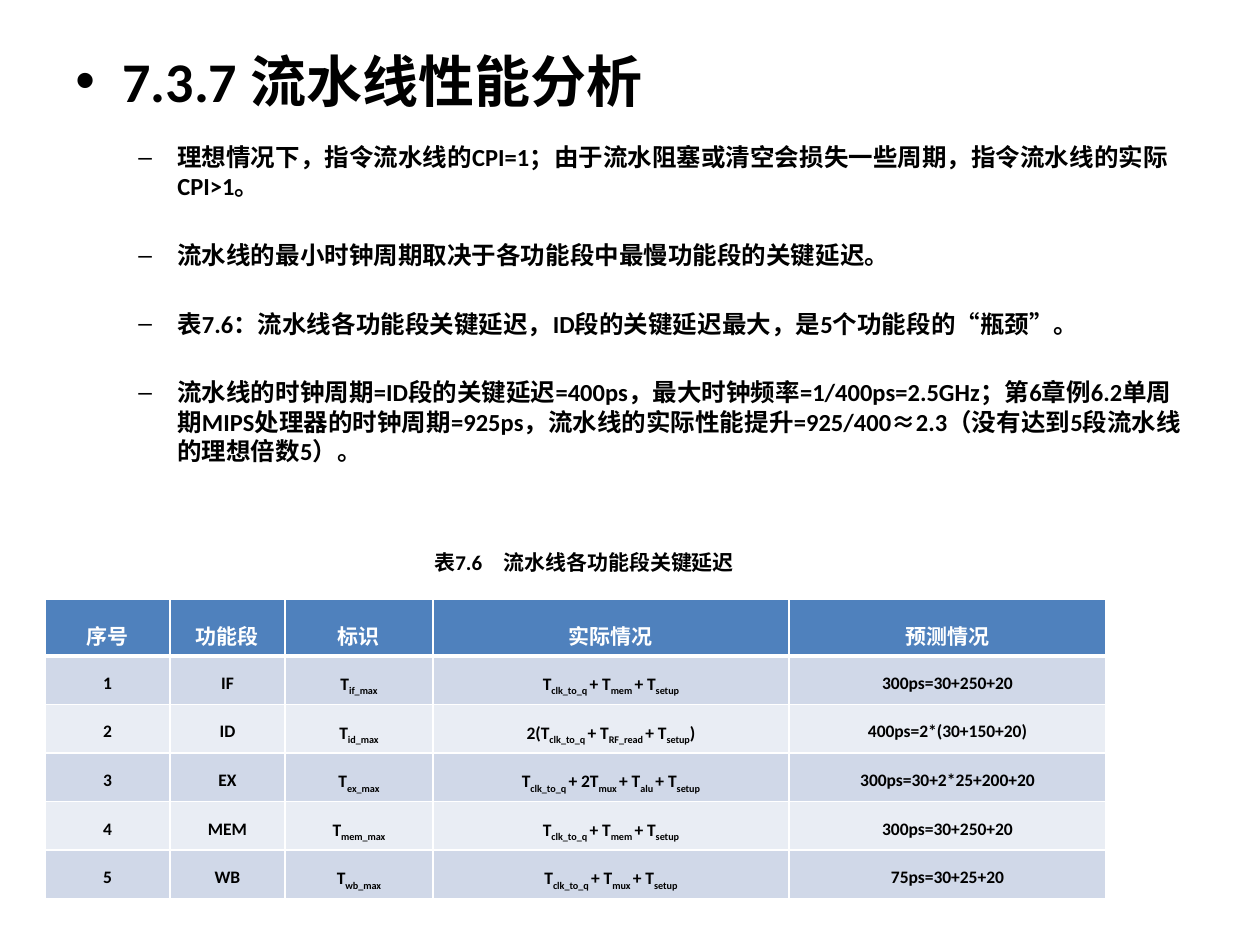
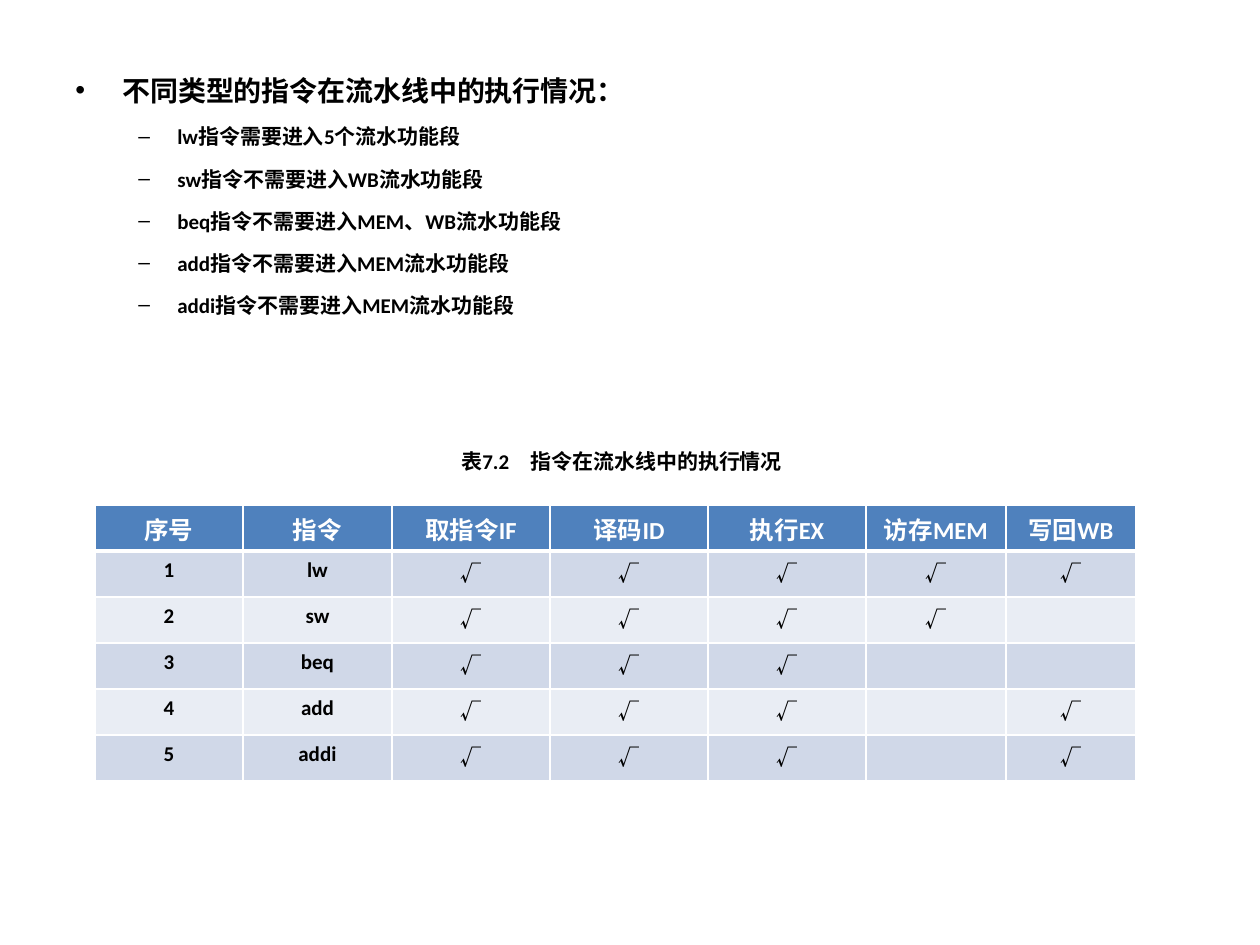
import itertools

import pptx
import pptx.dml.color
import pptx.enum.text
import pptx.oxml.ns
import pptx.util
from lxml import etree

# Shared style
PX = 914400 / 126
FONT, CJK_FONT = "Calibri", "Noto Sans CJK SC"
SYMBOLS = "≈√"
BLACK, WHITE, HEADER = "000000", "FFFFFF", "4F81BD"
BANDS = ["D0D8E8", "E9EDF4"]
BULLETS = {0: ("•", 47, -47), 1: ("–", 102, -39)}  # sign, margin, indent

# Content; in table cells, every second part between bars is a subscript
SLIDES = [
    dict(
        heading="7.3.7 流水线性能分析",
        points=[
            "理想情况下，指令流水线的CPI=1；由于流水阻塞或清空会损失一些周期，指令流水线的实际CPI>1。",
            "流水线的最小时钟周期取决于各功能段中最慢功能段的关键延迟。",
            "表7.6：流水线各功能段关键延迟，ID段的关键延迟最大，是5个功能段的“瓶颈”。",
            "流水线的时钟周期=ID段的关键延迟=400ps，最大时钟频率=1/400ps=2.5GHz；"
            "第6章例6.2单周期MIPS处理器的时钟周期=925ps，"
            "流水线的实际性能提升=925/400≈2.3（没有达到5段流水线的理想倍数5）。",
        ],
        body=(63, 36, 1134, 774),
        heading_format=dict(size=32, line=41.0),
        point_format=dict(size=14, line=16.8),
        gaps=(16, 22.4),
        caption="表7.6　流水线各功能段关键延迟",
        caption_box=(422, 543, 326, 38),
        header=["序号", "功能段", "标识", "实际情况", "预测情况"],
        rows=[
            ["IF", "T|if_max", "T|clk_to_q |+ T|mem |+ T|setup", "300ps=30+250+20"],
            ["ID", "T|id_max", "2(T|clk_to_q |+ T|RF_read |+ T|setup|)", "400ps=2*(30+150+20)"],
            ["EX", "T|ex_max", "T|clk_to_q |+ 2T|mux |+ T|alu |+ T|setup", "300ps=30+2*25+200+20"],
            ["MEM", "T|mem_max", "T|clk_to_q |+ T|mem |+ T|setup", "300ps=30+250+20"],
            ["WB", "T|wb_max", "T|clk_to_q |+ T|mux |+ T|setup", "75ps=30+25+20"],
        ],
        table_at=(45, 599),
        columns=[125, 115, 148, 356, 317],
        heights=(57, 48),
        cell_sizes=(12, 10),
        cell_line=1.5,
    ),
    dict(
        heading="不同类型的指令在流水线中的执行情况：",
        points=[
            "lw指令需要进入5个流水功能段",
            "sw指令不需要进入WB流水功能段",
            "beq指令不需要进入MEM、WB流水功能段",
            "add指令不需要进入MEM流水功能段",
            "addi指令不需要进入MEM流水功能段",
        ],
        body=(63, 66, 1134, 624),
        heading_format=dict(size=16, line=20.0),
        point_format=dict(size=12, line=21.6),
        gaps=(2.4, 2.4),
        caption="表7.2　指令在流水线中的执行情况",
        caption_box=(449, 442, 348, 38),
        header=["序号", "指令", "取指令IF", "译码ID", "执行EX", "访存MEM", "写回WB"],
        rows=[
            ["lw", "√", "√", "√", "√", "√"],
            ["sw", "√", "√", "√", "√", ""],
            ["beq", "√", "√", "√", "", ""],
            ["add", "√", "√", "√", "", "√"],
            ["addi", "√", "√", "√", "", "√"],
        ],
        table_at=(95, 505),
        columns=[148, 149, 158, 158, 158, 140, 130],
        heights=(46, 46),
        cell_sizes=(14, 12),
        cell_line=1.0,
    ),
]


def px(n):
    return round(n * PX)


def rgb(color):
    return pptx.dml.color.RGBColor.from_string(color)


def sub(parent, tag, **attrs):
    return etree.SubElement(parent, pptx.oxml.ns.qn(tag), **attrs)


def write(p, text, size=12, color=BLACK, line=1.0, before=0, align=None, level=None):
    """Fill a paragraph; a line above 2 is a height in points."""
    if level is not None:
        sign, margin, indent = BULLETS[level]
        pPr = p._p.get_or_add_pPr()
        pPr.set("marL", str(px(margin)))
        pPr.set("indent", str(px(indent)))
        sub(pPr, "a:buFont", typeface="Arial")
        sub(pPr, "a:buChar", char=sign)
        p.level = level
    p.line_spacing = pptx.util.Pt(line) if line > 2 else line
    p.space_before = pptx.util.Pt(before)
    p.alignment = align
    for i, part in enumerate(text.split("|")):
        for is_symbol, chars in itertools.groupby(part, lambda ch: ch in SYMBOLS):
            r = p.add_run()
            r.text = "".join(chars)
            r.font.size = pptx.util.Pt(size)
            r.font.bold = True
            r.font.color.rgb = rgb(color)
            r.font.name = CJK_FONT if is_symbol else FONT
            rPr = r._r.get_or_add_rPr()
            sub(rPr, "a:ea", typeface=CJK_FONT)
            if i % 2:
                rPr.set("baseline", "-25000")
    if not text:
        sub(p._p, "a:endParaRPr", sz=str(size * 100))


def add_box(slide, box):
    tf = slide.shapes.add_textbox(*map(px, box)).text_frame
    tf.word_wrap = True
    return tf


def add_body(slide, s):
    tf = add_box(slide, s["body"])
    write(tf.paragraphs[0], s["heading"], level=0, **s["heading_format"])
    first_gap, gap = s["gaps"]
    for i, point in enumerate(s["points"]):
        write(tf.add_paragraph(), point, level=1,
              before=gap if i else first_gap, **s["point_format"])


def style_cell(cell, row):
    tcPr = cell._tc.get_or_add_tcPr()
    widths = dict(L=1, R=1, T=3 if row == 1 else 1, B=1 if row else 3)
    for side, width in widths.items():
        ln = sub(tcPr, f"a:ln{side}", w=str(pptx.util.Pt(width)))
        sub(sub(ln, "a:solidFill"), "a:srgbClr", val=WHITE)
    cell.fill.solid()
    cell.fill.fore_color.rgb = rgb(BANDS[(row - 1) % 2] if row else HEADER)


def add_table(slide, s):
    rows = [s["header"]] + [[str(n), *row] for n, row in enumerate(s["rows"], 1)]
    heights = [s["heights"][min(i, 1)] for i in range(len(rows))]
    table = slide.shapes.add_table(
        len(rows), len(s["columns"]), *map(px, s["table_at"]),
        px(sum(s["columns"])), px(sum(heights))).table
    for column, width in zip(table.columns, s["columns"]):
        column.width = px(width)
    for i, row in enumerate(rows):
        table.rows[i].height = px(heights[i])
        for j, text in enumerate(row):
            cell = table.cell(i, j)
            style_cell(cell, i)
            write(cell.text_frame.paragraphs[0], text,
                  size=s["cell_sizes"][min(i, 1)], color=BLACK if i else WHITE,
                  line=s["cell_line"], align=pptx.enum.text.PP_ALIGN.CENTER)


def main():
    prs = pptx.Presentation()
    prs.slide_width, prs.slide_height = px(1260), px(945)
    for s in SLIDES:
        slide = prs.slides.add_slide(prs.slide_layouts[6])
        add_body(slide, s)
        add_table(slide, s)
        caption = add_box(slide, s["caption_box"])
        write(caption.paragraphs[0], s["caption"], line=14.4)
    prs.save("out.pptx")


if __name__ == "__main__":
    main()
